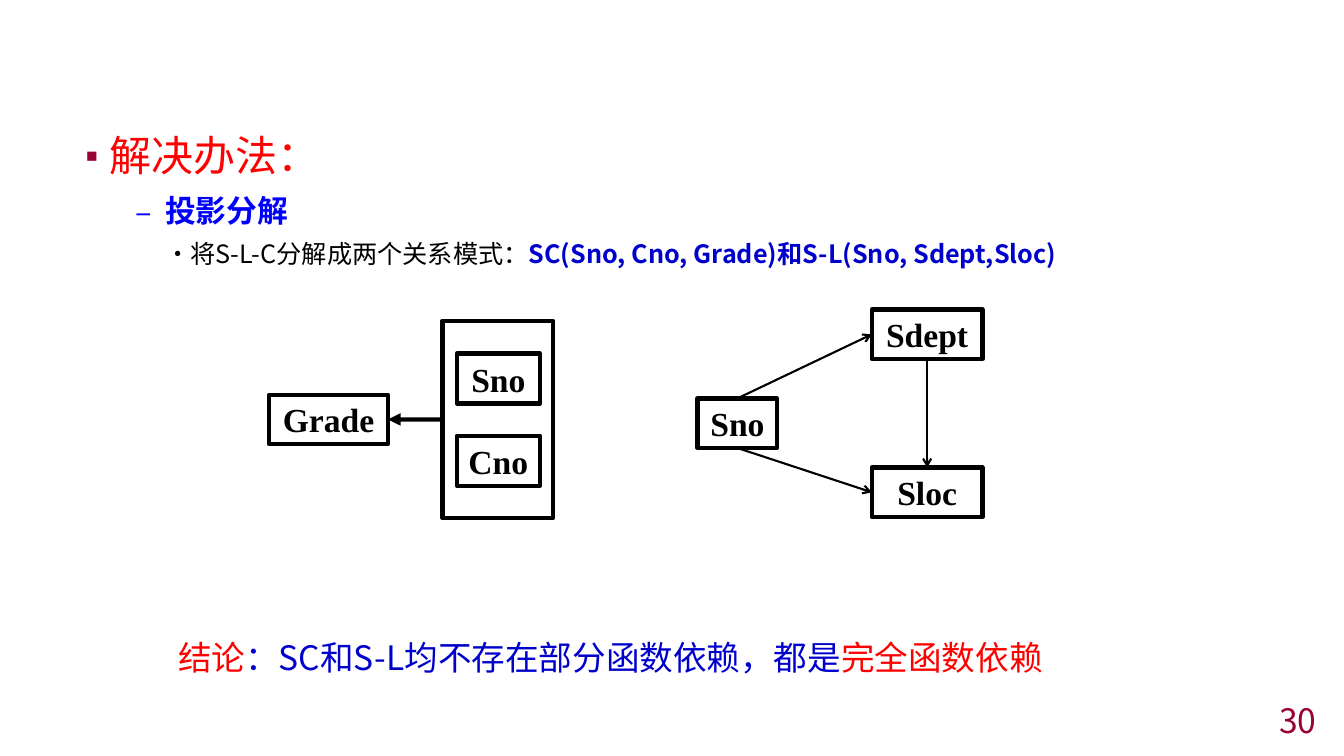
import pptx
import pptx.util
import pptx.dml.color
import pptx.oxml.ns
import pptx.enum.shapes
import pptx.enum.text
from lxml import etree

Cm, Pt = pptx.util.Cm, pptx.util.Pt
PP_ALIGN = pptx.enum.text.PP_ALIGN
ANCHOR = pptx.enum.text.MSO_ANCHOR
qn = pptx.oxml.ns.qn

COLORS = {"red": "FF0000", "blue": "0000FF", "navy": "0000CC",
          "black": "000000", "maroon": "990033"}
SANS, SERIF = "Noto Sans CJK SC", "Times New Roman"
TOP, LEFT, BOTTOM, RIGHT = range(4)  # connection sites of a rectangle


def rgb(name):
    return pptx.dml.color.RGBColor.from_string(COLORS[name])


def add_run(p, text, size, color, bold=False, face=SANS):
    r = p.add_run()
    r.text = text
    r.font.size, r.font.bold = Pt(size), bold
    r.font.color.rgb = rgb(color)
    r.font.name = face
    etree.SubElement(r.font._element, qn("a:ea"), typeface=face)


def set_bullet(p, char, margin, hang, color=None, percent=None):
    pPr = p._p.get_or_add_pPr()
    pPr.set("marL", str(Cm(margin)))
    pPr.set("indent", str(-Cm(hang)))
    if color:
        clr = etree.SubElement(pPr, qn("a:buClr"))
        etree.SubElement(clr, qn("a:srgbClr"), val=COLORS[color])
    if percent:
        etree.SubElement(pPr, qn("a:buSzPct"), val=str(percent * 1000))
    etree.SubElement(pPr, qn("a:buFont"), typeface=SANS)
    etree.SubElement(pPr, qn("a:buChar"), char=char)


def add_outline(slide, x, y, w, h):
    """Three-level bulleted text in the body placeholder."""
    sp = slide.placeholders[1]
    sp.left, sp.top, sp.width, sp.height = Cm(x), Cm(y), Cm(w), Cm(h)
    tf = sp.text_frame
    tf.auto_size = pptx.enum.text.MSO_AUTO_SIZE.NONE
    levels = [
        (("▪", 0.74, 0.74, "maroon", 80), 30,
         [("解决办法：", "red", False)]),
        (("–", 2.26, 0.76), 22, [("投影分解", "blue", True)]),
        (("•", 2.74, 0.48), 18,
         [("将S-L-C分解成两个关系模式：", "black", False),
          ("SC(Sno, Cno, Grade)和S-L(Sno, Sdept,Sloc)", "navy", True)]),
    ]
    for level, (bullet, size, runs) in enumerate(levels):
        p = tf.add_paragraph() if level else tf.paragraphs[0]
        p.level = level
        p.line_spacing = 1.14
        p.space_before = Pt(0.2 * size if level else 0)
        set_bullet(p, *bullet)
        for text, color, bold in runs:
            add_run(p, text, size, color, bold)


def add_box(group, x, y, w, h, text=None):
    sp = group.shapes.add_shape(pptx.enum.shapes.MSO_SHAPE.RECTANGLE,
                                Cm(x), Cm(y), Cm(w), Cm(h))
    sp.shadow.inherit = False
    sp.fill.background()
    sp.line.color.rgb, sp.line.width = rgb("black"), Pt(3)
    if text:
        tf = sp.text_frame
        tf.word_wrap = False
        tf.vertical_anchor = ANCHOR.MIDDLE
        p = tf.paragraphs[0]
        p.alignment = PP_ALIGN.CENTER
        add_run(p, text, 24, "black", True, SERIF)
    return sp


def add_arrow(group, start, start_site, end, end_site, width, head):
    line = group.shapes.add_connector(
        pptx.enum.shapes.MSO_CONNECTOR.STRAIGHT, 0, 0, 0, 0)
    line.begin_connect(start, start_site)
    line.end_connect(end, end_site)
    line.line.color.rgb, line.line.width = rgb("black"), Pt(width)
    etree.SubElement(line.line._get_or_add_ln(), qn("a:tailEnd"), type=head)
    etree.SubElement(line._element.spPr, qn("a:effectLst"))


def add_sc_diagram(slide, x, y, w, h):
    """(Sno, Cno) determines Grade."""
    group = slide.shapes.add_group_shape()
    key_w = 2.79
    key_x = x + w - key_w
    key = add_box(group, key_x, y, key_w, h)
    for text, dy in (("Sno", 0.83), ("Cno", 2.9)):
        add_box(group, key_x + 0.36, y + dy, 2.1, 1.26, text)
    grade = add_box(group, x, y + (h - 1.24) / 2, 3, 1.24, "Grade")
    add_arrow(group, key, LEFT, grade, RIGHT, 3, "triangle")


def add_sl_diagram(slide, x, y, w, h):
    """Sno determines Sdept and Sloc; Sdept determines Sloc."""
    group = slide.shapes.add_group_shape()
    box_w, box_h = 2.79, 1.25
    right = x + w - box_w
    sno = add_box(group, x, y + 2.24, 2.01, box_h, "Sno")
    sdept = add_box(group, right, y, box_w, box_h, "Sdept")
    sloc = add_box(group, right, y + h - box_h, box_w, box_h, "Sloc")
    for start, start_site, end, end_site in (
            (sno, TOP, sdept, LEFT),
            (sno, BOTTOM, sloc, LEFT),
            (sdept, BOTTOM, sloc, TOP)):
        add_arrow(group, start, start_site, end, end_site, 1.5, "arrow")


def add_text(slide, x, y, w, h, runs, align, anchor):
    sp = slide.shapes.add_textbox(Cm(x), Cm(y), Cm(w), Cm(h))
    tf = sp.text_frame
    tf.word_wrap = True
    tf.vertical_anchor = anchor
    p = tf.paragraphs[0]
    p.alignment = align
    for text, color in runs:
        add_run(p, text, 24, color)


def main():
    prs = pptx.Presentation()
    prs.slide_width, prs.slide_height = Cm(33.87), Cm(19.05)
    slide = prs.slides.add_slide(prs.slide_layouts[1])
    title = slide.shapes.title._element
    title.getparent().remove(title)

    add_outline(slide, 1.65, 2.97, 30.58, 15.19)
    # Page number
    add_text(slide, 26.24, 17.75, 7.19, 0.79, [("30", "maroon")],
             PP_ALIGN.RIGHT, ANCHOR.MIDDLE)
    # Dependency diagrams
    add_sc_diagram(slide, 6.78, 8.08, 7.16, 4.98)
    add_sl_diagram(slide, 17.58, 7.8, 7.18, 5.23)
    # Conclusion
    add_text(slide, 4.24, 15.93, 24.66, 1.27,
             [("结论", "red"),
              ("：SC和S-L均不存在部分函数依赖，都是", "navy"),
              ("完全函数依赖", "red")],
             PP_ALIGN.LEFT, ANCHOR.TOP)
    prs.save("out.pptx")


if __name__ == "__main__":
    main()
